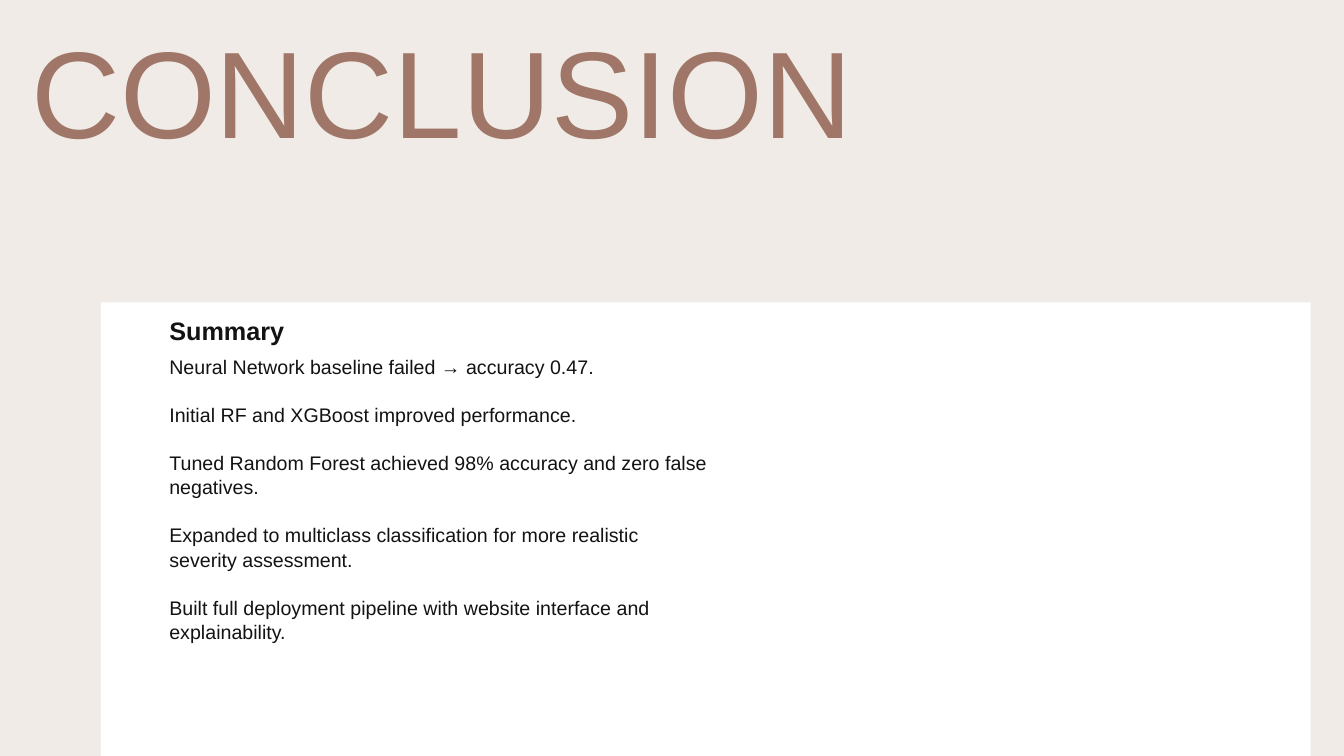
from math import cos, pi, sin

from pptx import Presentation
from pptx.dml.color import RGBColor as Color
from pptx.enum.text import MSO_ANCHOR as Anchor
from pptx.util import Inches, Pt

WIDE, HIGH = 13.33, 7.5
INK = "131313"
POINTS = [
    "Neural Network baseline failed → accuracy 0.47.",
    "Initial RF and XGBoost improved performance.",
    "Tuned Random Forest achieved 98% accuracy and zero false negatives.",
    "Expanded to multiclass classification for more realistic severity assessment.",
    "Built full deployment pipeline with website interface and explainability.",
]


def paint(fill, tone):
    fill.solid()
    fill.fore_color.rgb = Color.from_string(tone)


def write(slide, box, lines, pads, tone, gap=0, pitch=1.0, **font):
    frame = slide.shapes.add_textbox(*map(Inches, box)).text_frame
    form = dict(zip(("margin_left", "margin_top", "margin_right", "margin_bottom"),
                    map(Inches, pads)))
    form.update(word_wrap=True, vertical_anchor=Anchor.TOP)
    for key, value in form.items():
        setattr(frame, key, value)
    for num, line in enumerate(lines):
        para = frame.add_paragraph() if num else frame.paragraphs[0]
        para.line_spacing = pitch
        para.space_before = Pt(gap if num else 0)
        run = para.add_run()
        run.text = line
        run.font.color.rgb = Color.from_string(tone)
        for key, value in {"name": "Arial", **font}.items():
            setattr(run.font, key, value)


def panel(slide, box, curve=0.57, steps=24):
    left, top, width, height = box
    right, base = left + width, top + height
    arc = [(left + curve * (1 - sin(turn)), top + curve * (1 - cos(turn)))
           for turn in (pi / 2 * step / steps for step in range(steps + 1))]
    edge = [(right, top), *arc, (left, base), (right, base)]
    pen = slide.shapes.build_freeform(*edge[0], scale=Inches(1))
    pen.add_line_segments(edge[1:], close=True)
    shape = pen.convert_to_shape()
    shape.shadow.inherit = False
    shape.line.fill.background()
    paint(shape.fill, "FFFFFF")


def heading(slide, box):
    write(slide, box, ["CONCLUSION"], (0.1, 0.05, 0.1, 0.05), "9F7667",
          pitch=0.95, size=Pt(88))


def summary(slide, box, head=0.4):
    left, top, width, height = box
    write(slide, (left, top, width, head), ["Summary"], (0.15, 0.03, 0.03, 0.03),
          INK, pitch=1.04, size=Pt(18), bold=True)
    write(slide, (left, top + head, width, height - head), POINTS,
          (0.15, 0.02, 0.02, 0.02), INK, gap=16.8, pitch=1.04, size=Pt(14))


def main():
    deck = Presentation()
    deck.slide_width, deck.slide_height = Inches(WIDE), Inches(HIGH)
    slide = deck.slides.add_slide(deck.slide_layouts[6])
    paint(slide.background.fill, "F0EBE6")
    panel(slide, (0.83, 3.15, WIDE - 0.83, HIGH - 3.15))
    heading(slide, (0.21, 0.21, 12.95, 2.25))
    summary(slide, (1.53, 3.09, 5.54, 3.99))
    deck.save("out.pptx")


if __name__ == "__main__":
    main()
